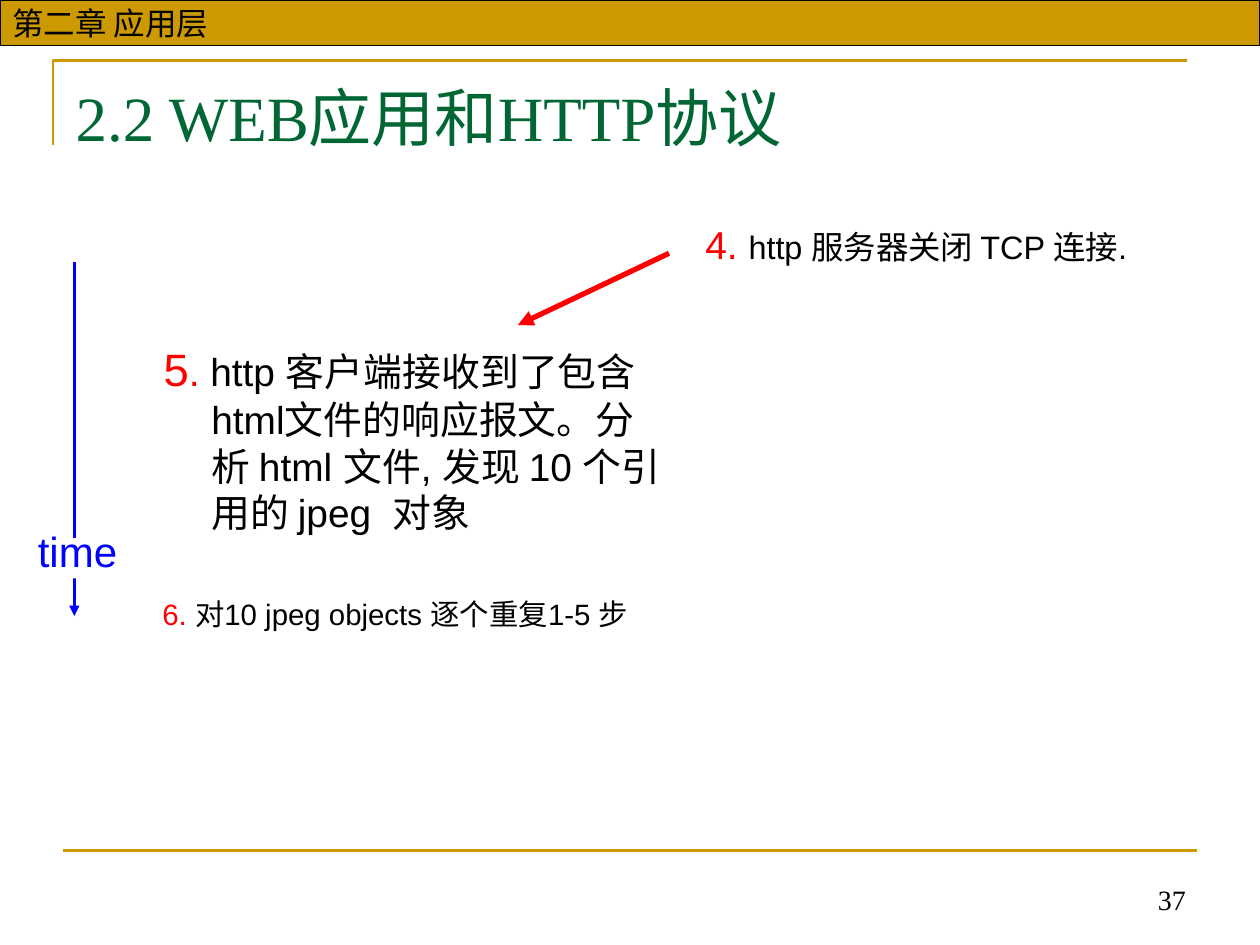
from dataclasses import dataclass

from lxml import etree
from pptx import Presentation
from pptx.dml.color import RGBColor
from pptx.enum import shapes as sh, text as tx
from pptx.oxml import ns
from pptx.util import Inches, Pt


@dataclass(frozen=True)
class Theme:
    """Colours, fonts and type sizes of the deck."""
    gold: str = "CC9900"
    green: str = "006633"
    red: str = "FF0000"
    blue: str = "0000FF"
    black: str = "000000"
    white: str = "FFFFFF"
    sans: str = "Arial"
    serif: str = "Times New Roman"
    head: float = 36
    time: float = 24
    bar: float = 18
    page: float = 16
    big: float = 25.9
    mid: float = 22.2
    note: float = 18.5
    small: float = 16.8


T = Theme()


def rgb(code):
    """Turn a hex code into a colour."""
    return RGBColor.from_string(code)


def style(run, size, color, face=T.sans):
    """Set the font of one run."""
    font = run.font
    font.size, font.name = Pt(size), face
    font.color.rgb = rgb(color)


def rule(slide, start, end, color, width, arrow=False):
    """Draw a straight line, with an arrowhead if asked."""
    line = slide.shapes.add_connector(
        sh.MSO_CONNECTOR.STRAIGHT, *map(Inches, start + end))
    line.line.color.rgb, line.line.width = rgb(color), Pt(width)
    props = line._element.spPr
    if arrow:
        tail = etree.SubElement(line.line._get_or_add_ln(), ns.qn("a:tailEnd"))
        tail.set("type", "triangle")
    etree.SubElement(props, ns.qn("a:effectLst"))


def block(slide, box, fill):
    """Add a plain filled rectangle without a border."""
    rect = slide.shapes.add_shape(sh.MSO_SHAPE.RECTANGLE, *map(Inches, box))
    rect.shadow.inherit = False
    rect.fill.solid()
    rect.fill.fore_color.rgb = rgb(fill)
    rect.line.fill.background()
    return rect


def label(slide, box, words, size, color, face, align, wrap=True):
    """Add a text box holding one line."""
    frame = slide.shapes.add_textbox(*map(Inches, box)).text_frame
    frame.text, frame.word_wrap = words, wrap
    frame.paragraphs[0].alignment = align
    style(frame.paragraphs[0].runs[0], size, color, face)
    return frame


def banner(slide, box, words):
    """Place the chapter bar across the top."""
    bar = block(slide, box, T.gold)
    bar.line.color.rgb, bar.line.width = rgb(T.black), Pt(0.75)
    frame = bar.text_frame
    frame.text, frame.word_wrap = words, False
    frame.vertical_anchor = tx.MSO_ANCHOR.MIDDLE
    frame.paragraphs[0].alignment = tx.PP_ALIGN.LEFT
    style(frame.paragraphs[0].runs[0], T.bar, T.black)


def border(slide, box):
    """Draw the corner line around the heading."""
    left, top, width, height = map(Inches, box)
    pen = slide.shapes.build_freeform(left, top + height)
    pen.add_line_segments([(left, top), (left + width, top)], close=False)
    edge = pen.convert_to_shape()
    edge.shadow.inherit = False
    edge.fill.background()
    edge.line.color.rgb, edge.line.width = rgb(T.gold), Pt(1.5)


def heading(slide, box, words):
    """Fill and move the title placeholder."""
    title = slide.shapes.title
    title.left, title.top, title.width, title.height = map(Inches, box)
    frame = title.text_frame
    frame.text, frame.auto_size = words, tx.MSO_AUTO_SIZE.NONE
    frame.vertical_anchor = tx.MSO_ANCHOR.MIDDLE
    frame.paragraphs[0].alignment = tx.PP_ALIGN.LEFT
    style(frame.paragraphs[0].runs[0], T.head, T.green, T.serif)


def step(slide, box, parts):
    """Place a numbered step with a hanging indent."""
    frame = slide.shapes.add_textbox(*map(Inches, box)).text_frame
    frame.word_wrap = True
    para = frame.paragraphs[0]
    props = para._p.get_or_add_pPr()
    props.set("marL", str(Inches(0.38)))
    props.set("indent", str(-Inches(0.38)))
    for words, size, color in parts:
        run = para.add_run()
        run.text = words
        style(run, size, color)


def clock(slide, box):
    """Draw the time axis and its label."""
    left, top, width, height = box
    mid = left + 0.39
    rule(slide, (mid, top), (mid, top + height), T.blue, 1.5, True)
    block(slide, (left + 0.13, top + 2.19, 0.37, 0.32), T.white)
    frame = label(slide, (left, top + 2.04, width, 0.5), "time",
                  T.time, T.blue, T.sans, tx.PP_ALIGN.CENTER, False)
    frame.auto_size = tx.MSO_AUTO_SIZE.SHAPE_TO_FIT_TEXT


def main():
    """Build and save the slide."""
    deck = Presentation()
    deck.slide_width, deck.slide_height = Inches(10), Inches(7.5)
    slide = deck.slides.add_slide(deck.slide_layouts[5])
    border(slide, (0.42, 0.48, 9, 0.67))
    rule(slide, (0.5, 6.75), (9.5, 6.75), T.gold, 1.5)
    banner(slide, (0, 0, 10, 0.36), "第二章 应用层")
    page = label(slide, (6.34, 6.82, 3.17, 0.5), "37", T.page, T.black,
                 T.serif, tx.PP_ALIGN.RIGHT)
    page.vertical_anchor = tx.MSO_ANCHOR.BOTTOM
    heading(slide, (0.5, 0.54, 9, 0.77), "2.2 WEB应用和HTTP协议")
    step(slide, (1.2, 2.66, 4.17, 1.68), [
        ("5", T.big, T.red),
        (".", T.mid, T.red),
        (" http 客户端接收到了包含html文件的响应报文。分析 html 文件, "
         "发现 10 个引用的 jpeg  对象", T.mid, T.black)])
    step(slide, (1.19, 4.68, 4.17, 0.73), [
        ("6. ", T.small, T.red),
        ("对10 jpeg objects 逐个重复1-5 步", T.small, T.black)])
    step(slide, (5.5, 1.7, 4.17, 0.8), [
        ("4. ", T.mid, T.red),
        ("http 服务器关闭 TCP 连接.", T.note, T.black)])
    clock(slide, (0.2, 2.08, 0.83, 2.81))
    rule(slide, (5.31, 2.01), (4.11, 2.58), T.red, 3, True)
    deck.save("out.pptx")


if __name__ == "__main__":
    main()
